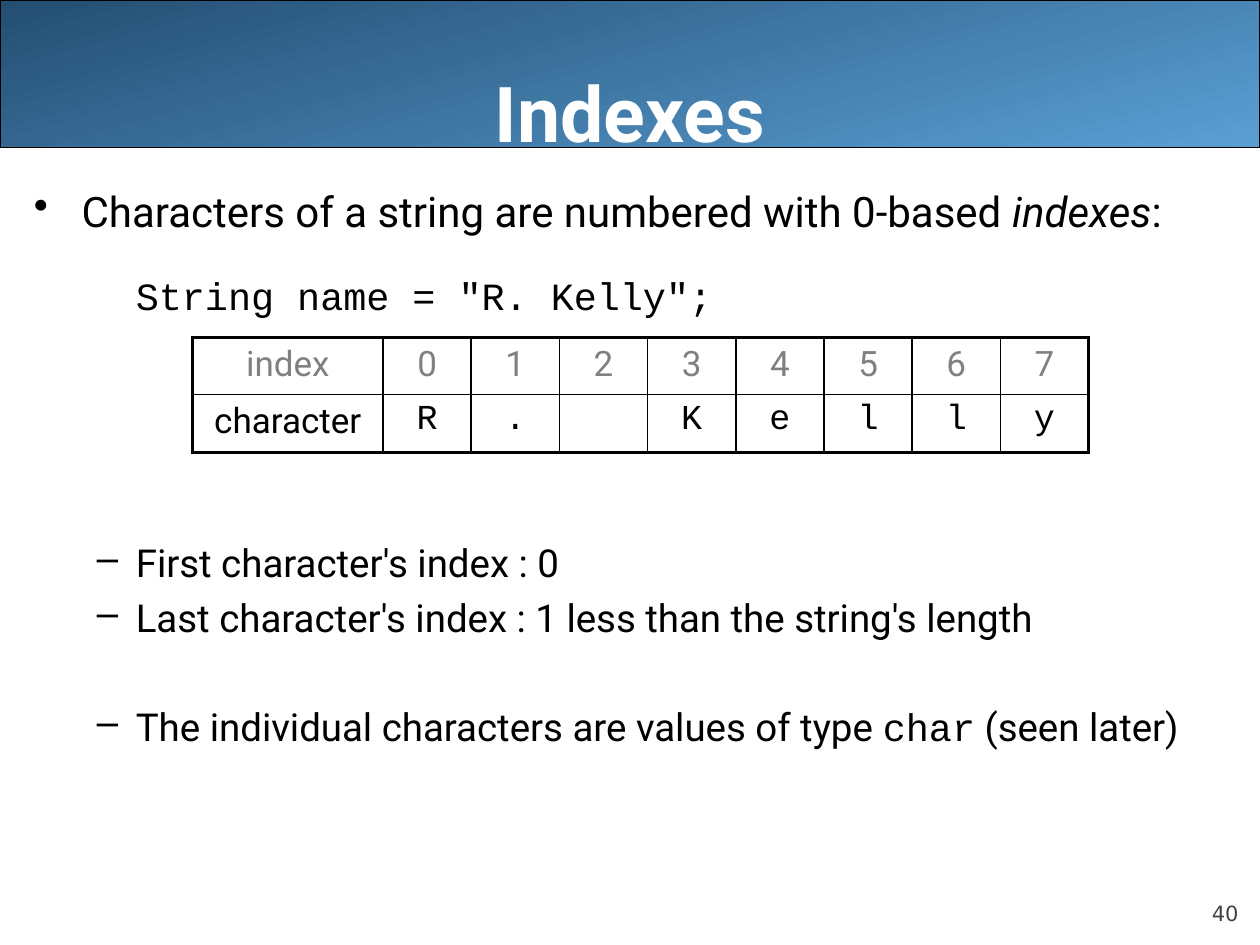
from lxml import etree
from pptx import Presentation
from pptx import util as u
from pptx.dml.color import RGBColor
from pptx.enum import shapes, text
from pptx.oxml.ns import qn

# Content
TITLE = "Indexes"
PAGE_NUMBER = "40"
NAME = "R. Kelly"
SANS, MONO, NUMBER_FONT = "Roboto", "Courier New", "DejaVu Sans"
# bullet, left margin, indent, space before, size, runs of (words, font, italic)
BODY = [
    ("•", 0.38, -0.38, 0, 24, [("Characters of a string are numbered with 0-based ", SANS, False),
                               ("indexes", SANS, True), (":", SANS, False)]),
    (None, 0.81, 0, 21, 22, [(f'String name = "{NAME}";', MONO, False)]),
    ("–", 0.81, -0.31, 126, 22, [("First character's index : 0", SANS, False)]),
    ("–", 0.81, -0.31, 5, 22, [("Last character's index : 1 less than the string's length", SANS, False)]),
    ("–", 0.81, -0.31, 36, 22, [("The individual characters are values of type ", SANS, False),
                                ("char", MONO, False), (" (seen later)", SANS, False)]),
]
ROWS = [["index", *map(str, range(len(NAME)))], ["character", *NAME.replace(" ", "\0")]]
ROWS = [[word.replace("\0", "") for word in row] for row in ROWS]

BLACK = RGBColor(0, 0, 0)
WHITE = RGBColor(255, 255, 255)
GRAY = RGBColor(0x80, 0x80, 0x80)
DARK_GRAY = RGBColor(0x42, 0x42, 0x42)
NAVY = RGBColor(0x24, 0x4E, 0x72)
SKY = RGBColor(0x5A, 0x9F, 0xD4)

WIDTH, HEIGHT = 10, 7.5
LABEL_WIDTH, CHAR_WIDTH = 1.51, 0.7
ROW_HEIGHTS = (0.45, 0.46)
THIN, THICK = 1, 2.25


def style(font, size, name, color, bold=None):
    font.size, font.name, font.bold = u.Pt(size), name, bold
    font.color.rgb = color


def add_box(page, left, top, width, height, insets, anchor=text.MSO_ANCHOR.TOP):
    frame = page.shapes.add_textbox(*map(u.Inches, (left, top, width, height))).text_frame
    frame.word_wrap = True
    frame.vertical_anchor = anchor
    (frame.margin_left, frame.margin_top,
     frame.margin_right, frame.margin_bottom) = map(u.Inches, insets)
    return frame


def set_bullet(para, mark, margin, indent):
    props = para._p.get_or_add_pPr()
    props.set("marL", str(u.Inches(margin)))
    props.set("indent", str(u.Inches(indent)))
    if mark:
        etree.SubElement(props, qn("a:buChar")).set("char", mark)
    else:
        etree.SubElement(props, qn("a:buNone"))


def set_borders(cell, widths):
    props = cell._tc.get_or_add_tcPr()
    for position, (side, width) in enumerate(zip("LRTB", widths)):
        line = etree.Element(qn(f"a:ln{side}"), w=str(u.Pt(width)))
        fill = etree.SubElement(line, qn("a:solidFill"))
        etree.SubElement(fill, qn("a:srgbClr")).set("val", str(BLACK))
        props.insert(position, line)


deck = Presentation()
deck.slide_width, deck.slide_height = u.Inches(WIDTH), u.Inches(HEIGHT)
page = deck.slides.add_slide(deck.slide_layouts[6])

# Title band
band = page.shapes.add_shape(shapes.MSO_SHAPE.RECTANGLE, 0, 0, deck.slide_width, u.Inches(1.17))
band.shadow.inherit = False
band.fill.gradient()
band.fill.gradient_angle = 285
for stop, color, position in zip(band.fill.gradient_stops, (NAVY, SKY), (0, 1)):
    stop.color.rgb, stop.position = color, position
band.line.color.rgb, band.line.width = BLACK, u.Pt(0.75)

# Title and page number
for words, place, insets, align, font in [
    (PAGE_NUMBER, (9, 6.95, 0.83, 0.4), (0, 0, 0, 0), text.PP_ALIGN.RIGHT,
     (12, NUMBER_FONT, DARK_GRAY)),
    (TITLE, (0.5, 0, 9, 1.25), (0, 0.05, 0, 0), text.PP_ALIGN.CENTER,
     (44, SANS, WHITE, True)),
]:
    para = add_box(page, *place, insets, text.MSO_ANCHOR.BOTTOM).paragraphs[0]
    para.text, para.alignment = words, align
    style(para.font, *font)

# Body
frame = add_box(page, 0.17, 1.42, 9.83, 5.67, (0.1, 0.05, 0.1, 0.05))
for number, (mark, margin, indent, before, size, runs) in enumerate(BODY):
    para = frame.add_paragraph() if number else frame.paragraphs[0]
    set_bullet(para, mark, margin, indent)
    if before:
        para.space_before = u.Pt(before)
    style(para.font, size, runs[0][1], BLACK)
    for words, name, italic in runs:
        span = para.add_run()
        span.text = words
        style(span.font, size, name, BLACK)
        span.font.italic = italic

# Table of indexes and characters
columns = len(ROWS[0])
table = page.shapes.add_table(
    len(ROWS), columns, u.Inches(1.53), u.Inches(2.68),
    u.Inches(LABEL_WIDTH + CHAR_WIDTH * len(NAME)), u.Inches(sum(ROW_HEIGHTS))).table
table.first_row = table.horz_banding = False
for number, column in enumerate(table.columns):
    column.width = u.Inches(CHAR_WIDTH if number else LABEL_WIDTH)
for r, row in enumerate(ROWS):
    table.rows[r].height = u.Inches(ROW_HEIGHTS[r])
    for c, words in enumerate(row):
        cell = table.cell(r, c)
        cell.fill.background()
        outer = (c == 0, c == columns - 1, r == 0, r == len(ROWS) - 1)
        set_borders(cell, [THICK if edge else THIN for edge in outer])
        para = cell.text_frame.paragraphs[0]
        para.text, para.alignment = words, text.PP_ALIGN.CENTER
        style(para.font, 20, MONO if r and c else SANS, BLACK if r else GRAY)

deck.save("out.pptx")
